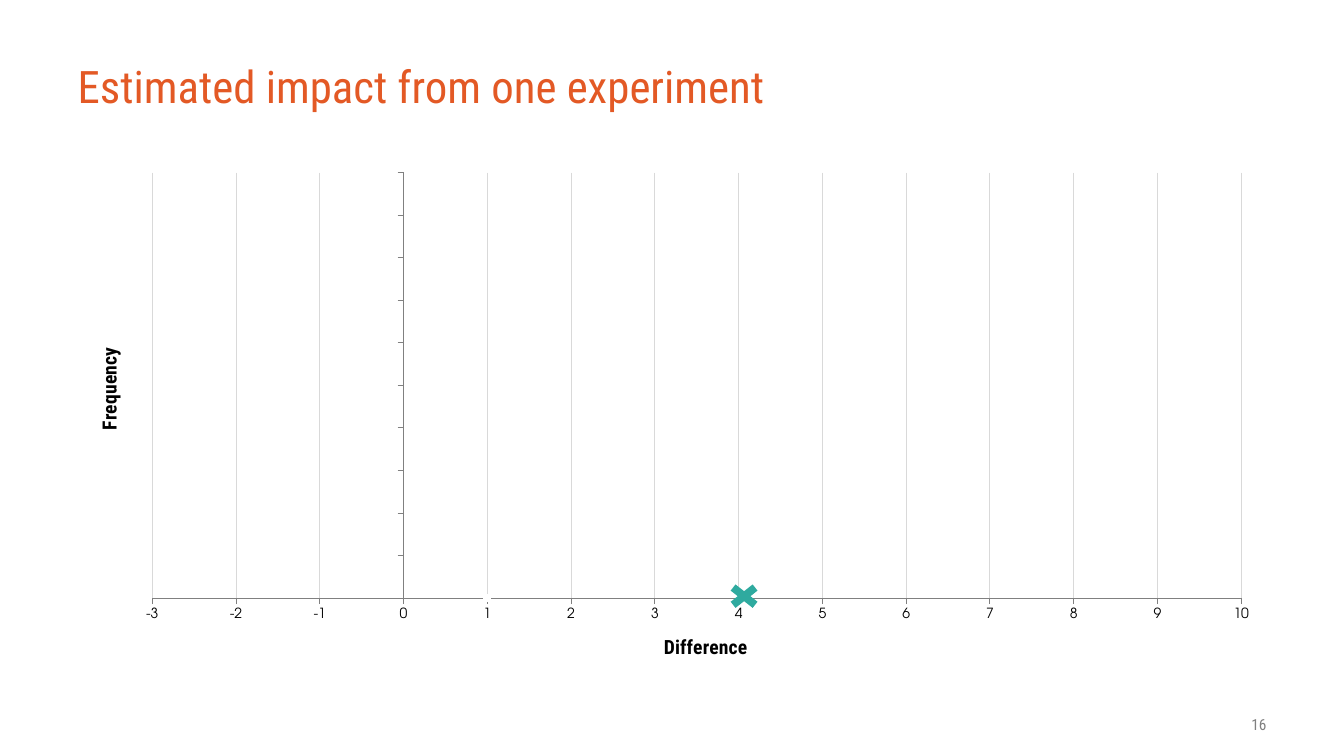
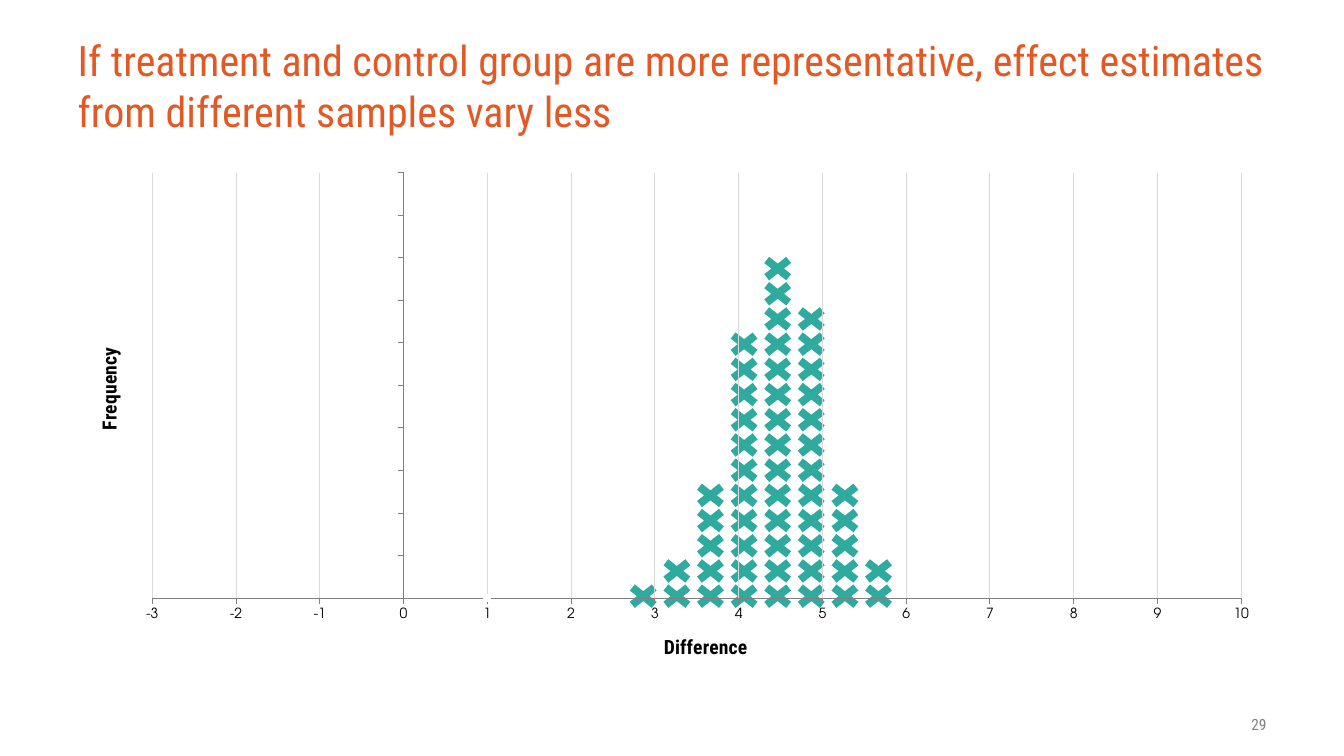
import pptx
import pptx.chart.data
import pptx.dml.color
import pptx.enum.chart
import pptx.enum.shapes
import pptx.enum.text
import pptx.oxml
import pptx.oxml.ns
import pptx.util

Inches, Pt = pptx.util.Inches, pptx.util.Pt
qn = pptx.oxml.ns.qn
XL = pptx.enum.chart
ALIGN = pptx.enum.text.PP_ALIGN

# Shared style
ORANGE, TEAL, GRAY, GRID, BLACK = "E35925", "2FAA9F", "808080", "D9D9D9", "000000"
HEAD_FONT, AXIS_FONT = "Roboto Condensed", "TeX Gyre Adventor"
LEFT, WIDTH = 0.67, 12
MARK_LEFT, MARK_BOTTOM, MARK_W, MARK_H = 6.17, 5.75, 0.42, 0.33
COLUMN_STEP, ROW_STEP = 1 / 3, 0.25

# Title, title size, page number, marks per column, marks in front of the chart
SLIDES = [
    ("Estimated impact from one experiment", 32, "16",
     [0, 0, 0, 1], True),
    ("If treatment and control group are more representative, "
     "effect estimates from different samples vary less", 30, "29",
     [1, 2, 5, 11, 14, 12, 5, 2], False),
]


def style(font, size, color, name=HEAD_FONT, bold=False):
    font.size, font.name, font.bold = Pt(size), name, bold
    font.color.rgb = pptx.dml.color.RGBColor.from_string(color)


def place(el, **fractions):
    """Fix a chart part at fractions of the chart area."""
    layout = el.find(qn("c:layout"))
    if layout is None:
        layout = pptx.oxml.parse_xml(
            '<c:layout xmlns:c="%s"/>' % pptx.oxml.ns.nsuri("c"))
        el.insert(len(el.findall(qn("c:tx"))), layout)
    manual = layout.makeelement(qn("c:manualLayout"), {})
    layout.append(manual)
    if "w" in fractions:
        manual.append(manual.makeelement(qn("c:layoutTarget"), {"val": "inner"}))
    for key in ("xMode", "yMode"):
        manual.append(manual.makeelement(qn("c:" + key), {"val": "edge"}))
    for key, value in fractions.items():
        manual.append(manual.makeelement(qn("c:" + key), {"val": str(value)}))


prs = pptx.Presentation()
prs.slide_width, prs.slide_height = Inches(13.33), Inches(7.5)

for title, title_size, number, counts, marks_in_front in SLIDES:
    s = prs.slides.add_slide(prs.slide_layouts[5])

    # Title
    sp = s.shapes.title
    sp.left, sp.top, sp.width, sp.height = (
        Inches(LEFT), Inches(0.21), Inches(WIDTH), Inches(1.27))
    tf = sp.text_frame
    tf.text = title
    tf.word_wrap = True
    tf.auto_size = pptx.enum.text.MSO_AUTO_SIZE.NONE
    tf.vertical_anchor = pptx.enum.text.MSO_ANCHOR.MIDDLE
    p = tf.paragraphs[0]
    p.alignment = ALIGN.LEFT
    style(p.font, title_size, ORANGE)

    # Page number
    tf = s.shapes.add_textbox(
        Inches(11.42), Inches(7.05), Inches(1.24), Inches(0.24)).text_frame
    tf.text = number
    tf.word_wrap = True
    p = tf.paragraphs[0]
    p.alignment = ALIGN.RIGHT
    style(p.font, 11, GRAY)

    # Empty scatter chart that serves as the axes
    data = pptx.chart.data.XyChartData()
    data.add_series("Series 1").add_data_point(1, 0)
    frame = s.shapes.add_chart(
        XL.XL_CHART_TYPE.XY_SCATTER,
        Inches(LEFT), Inches(1.61), Inches(WIDTH), Inches(5.15), data)
    chart = frame.chart
    chart.has_legend = chart.has_title = False
    style(chart.font, 10, BLACK, AXIS_FONT)
    place(chart.element.find(".//" + qn("c:plotArea")),
          x=0.07, y=0.02, w=0.9, h=0.82)
    series = chart.plots[0].series[0]
    series.format.line.fill.background()
    series.marker.size = 5
    series.marker.format.fill.background()
    series.marker.format.line.fill.background()

    for axis, label, low, high, step, x, y in (
            (chart.category_axis, "Difference", -3, 10, 1, 0.49, 0.9),
            (chart.value_axis, "Frequency", 0, 10000, 1000, 0.02, 0.35)):
        axis.minimum_scale, axis.maximum_scale, axis.major_unit = low, high, step
        axis.major_tick_mark = XL.XL_TICK_MARK.OUTSIDE
        axis.minor_tick_mark = XL.XL_TICK_MARK.NONE
        axis.format.line.width = Pt(0.75)
        axis.format.line.color.rgb = pptx.dml.color.RGBColor.from_string(GRAY)
        tf = axis.axis_title.text_frame
        tf.text = label
        style(tf.paragraphs[0].font, 14, BLACK, bold=True)
        place(axis.axis_title.element, x=x, y=y)

    chart.value_axis.has_major_gridlines = False
    chart.value_axis.tick_label_position = XL.XL_TICK_LABEL_POSITION.NONE
    body = chart.value_axis.axis_title.element.find(".//" + qn("a:bodyPr"))
    body.set("rot", "-5400000")
    body.set("vert", "horz")
    chart.category_axis.has_major_gridlines = True
    line = chart.category_axis.major_gridlines.format.line
    line.width = Pt(0.75)
    line.color.rgb = pptx.dml.color.RGBColor.from_string(GRID)
    chart.category_axis.tick_label_position = XL.XL_TICK_LABEL_POSITION.LOW

    # One cross per estimate, stacked in columns
    for column, count in enumerate(counts):
        for row in range(count):
            sp = s.shapes.add_shape(
                pptx.enum.shapes.MSO_SHAPE.MATH_MULTIPLY,
                Inches(MARK_LEFT + column * COLUMN_STEP),
                Inches(MARK_BOTTOM - row * ROW_STEP),
                Inches(MARK_W), Inches(MARK_H))
            sp.shadow.inherit = False
            sp.fill.solid()
            sp.fill.fore_color.rgb = pptx.dml.color.RGBColor.from_string(TEAL)
            sp.line.fill.background()

    # Bring the axes in front of the crosses
    if not marks_in_front:
        frame.element.getparent().append(frame.element)

prs.save("out.pptx")
